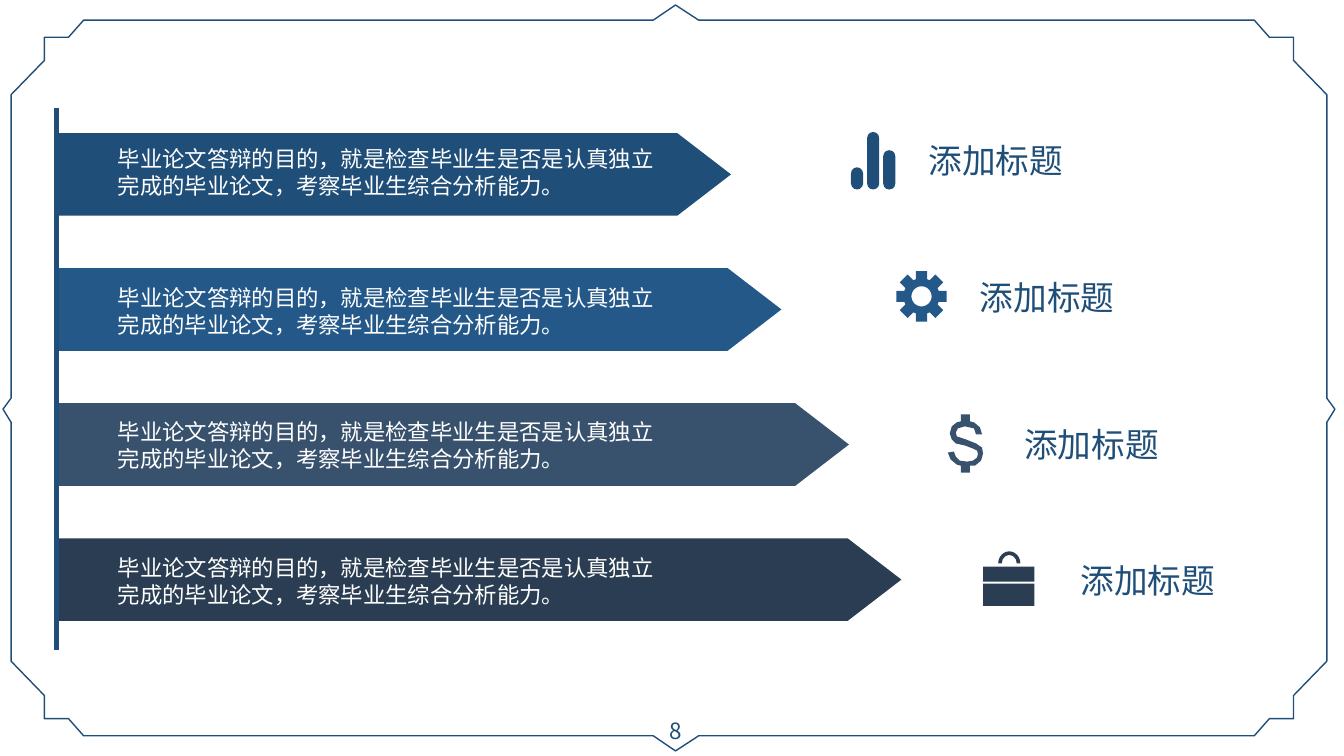
from dataclasses import dataclass
from math import cos, pi, sin

from lxml import etree
from pptx import Presentation
from pptx import util as u
from pptx.dml.color import RGBColor
from pptx.enum import shapes, text
from pptx.oxml.ns import qn

PX = u.Inches(1) // 100


@dataclass(frozen=True)
class Theme:
    font: str = "Noto Sans CJK SC"
    navy: str = "1F4E79"
    blue: str = "235889"
    slate: str = "38526E"
    ink: str = "2A3D52"
    white: str = "FFFFFF"
    label_size: int = 24
    body_size: int = 16


THEME = Theme()
LABEL = "添加标题"
BODY = "毕业论文答辩的目的，就是检查毕业生是否是认真独立完成的毕业论文，考察毕业生综合分析能力。"
DOLLAR = [
    (974, 444), (968, 440), (958, 436), (949, 433), (948, 429), (950, 425),
    (957, 423), (966, 425), (968, 431), (974, 431), (972, 424), (966, 419),
    (962, 418), (962, 411), (953, 411), (953, 418), (949, 419), (944, 423),
    (942, 430), (944, 436), (948, 440), (957, 442), (965, 445), (969, 447),
    (970, 450), (969, 454), (965, 457), (959, 458), (952, 457), (948, 453),
    (946, 448), (940, 449), (943, 456), (949, 461), (953, 462), (953, 469),
    (962, 469), (962, 462), (967, 462), (973, 457), (975, 450),
]


def px(*lengths):
    return [round(length * PX) for length in lengths]


def paint(shape, color):
    shape.shadow.inherit = False
    shape.fill.solid()
    shape.fill.fore_color.rgb = RGBColor.from_string(color)
    shape.line.fill.background()


def add_block(slide, kind, box, color, *adjustments):
    shape = slide.shapes.add_shape(kind, *px(*box))
    paint(shape, color)
    for index, value in adjustments:
        shape.adjustments[index] = value


def add_outline(slide, *contours):
    builder = None
    for contour in contours:
        start, *others = [px(*point) for point in contour]
        if builder is None:
            builder = slide.shapes.build_freeform(*start)
        else:
            builder.move_to(*start)
        builder.add_line_segments(others, close=True)
    return builder.convert_to_shape()


def add_text(slide, box, words, size, color, wrap=False, align=text.PP_ALIGN.LEFT):
    frame = slide.shapes.add_textbox(*px(*box)).text_frame
    frame.word_wrap = wrap
    frame.auto_size = text.MSO_AUTO_SIZE.SHAPE_TO_FIT_TEXT
    paragraph = frame.paragraphs[0]
    paragraph.text = words
    paragraph.alignment = align
    paragraph.font.name = THEME.font
    paragraph.font.size = u.Pt(size)
    paragraph.font.color.rgb = RGBColor.from_string(color)


def add_frame(slide):
    corner = [(11, 94), (44, 60), (44, 37), (68, 37), (83, 20)]
    top_right = [(1327 - x, y) for x, y in reversed(corner)]
    bottom_right = [(x, 750 - y) for x, y in reversed(top_right)]
    bottom_left = [(x, 750 - y) for x, y in reversed(corner)]
    top_notch = [(648, 20), (670, 5), (693, 20)]
    right_notch = [(1316, 395), (1324, 406), (1316, 419)]
    bottom_notch = [(x, 750 - y) for x, y in reversed(top_notch)]
    left_notch = [(1327 - x, y) for x, y in reversed(right_notch)]
    frame = add_outline(slide, corner + top_notch + top_right + right_notch
                        + bottom_right + bottom_notch + bottom_left + left_notch)
    frame.shadow.inherit = False
    frame.fill.background()
    frame.line.color.rgb = RGBColor.from_string(THEME.navy)
    frame.line.width = u.Pt(1)


def add_axis(slide):
    axis = slide.shapes.add_connector(
        shapes.MSO_CONNECTOR.STRAIGHT, *px(56, 107, 56, 645))
    axis.line.color.rgb = RGBColor.from_string(THEME.navy)
    axis.line.width = u.Pt(3)
    etree.SubElement(axis._element.spPr, qn("a:effectLst"))


def add_chart_icon(slide, color):
    for left, top in ((844, 166), (860, 131), (876, 149)):
        add_block(slide, shapes.MSO_SHAPE.ROUNDED_RECTANGLE,
                  (left, top, 12, 188 - top), color, (0, 0.5))


def add_gear_icon(slide, color):
    center_x, center_y, teeth, hole = 914, 294, 8, 10
    tooth = [(-11 / 2, -17), (-11 / 2, -25), (11 / 2, -25), (11 / 2, -17)]
    rim = []
    for index in range(teeth):
        turn = 2 * pi * index / teeth
        rim += [(center_x + x * cos(turn) - y * sin(turn),
                 center_y + x * sin(turn) + y * cos(turn)) for x, y in tooth]
    steps = 36
    circle = [(center_x + hole * cos(2 * pi * step / steps),
               center_y - hole * sin(2 * pi * step / steps))
              for step in range(steps)]
    paint(add_outline(slide, rim, circle), color)


def add_dollar_icon(slide, color):
    paint(add_outline(slide, DOLLAR), color)


def add_case_icon(slide, color):
    add_block(slide, shapes.MSO_SHAPE.BLOCK_ARC, (990, 547, 22, 24), color, (2, 0.16))
    for top, height in ((562, 15), (579, 22)):
        add_block(slide, shapes.MSO_SHAPE.RECTANGLE, (975, top, 51, height), color)


def main():
    presentation = Presentation()
    presentation.slide_width, presentation.slide_height = px(1333, 750)
    slide = presentation.slides.add_slide(presentation.slide_layouts[6])
    add_frame(slide)
    rows = [
        (THEME.navy, 668, 139, 911, 134, add_chart_icon),
        (THEME.blue, 718, 277, 962, 270, add_gear_icon),
        (THEME.slate, 785, 410, 1006, 416, add_dollar_icon),
        (THEME.ink, 837, 545, 1062, 551, add_case_icon),
    ]
    for index, (color, width, body_top, label_left, label_top, add_icon) in enumerate(rows):
        bar = (57, 132 + 134 * index, width, 82)
        add_block(slide, shapes.MSO_SHAPE.PENTAGON, bar, color, (0, 0.65))
        add_text(slide, (107, body_top, 560, 64), BODY, THEME.body_size, THEME.white, wrap=True)
        add_icon(slide, color)
        add_text(slide, (label_left, label_top, 155, 51), LABEL, THEME.label_size, THEME.navy)
    add_axis(slide)
    add_text(slide, (654, 707, 33, 37), "8", THEME.body_size, THEME.navy,
             align=text.PP_ALIGN.CENTER)
    presentation.save("out.pptx")


if __name__ == "__main__":
    main()
